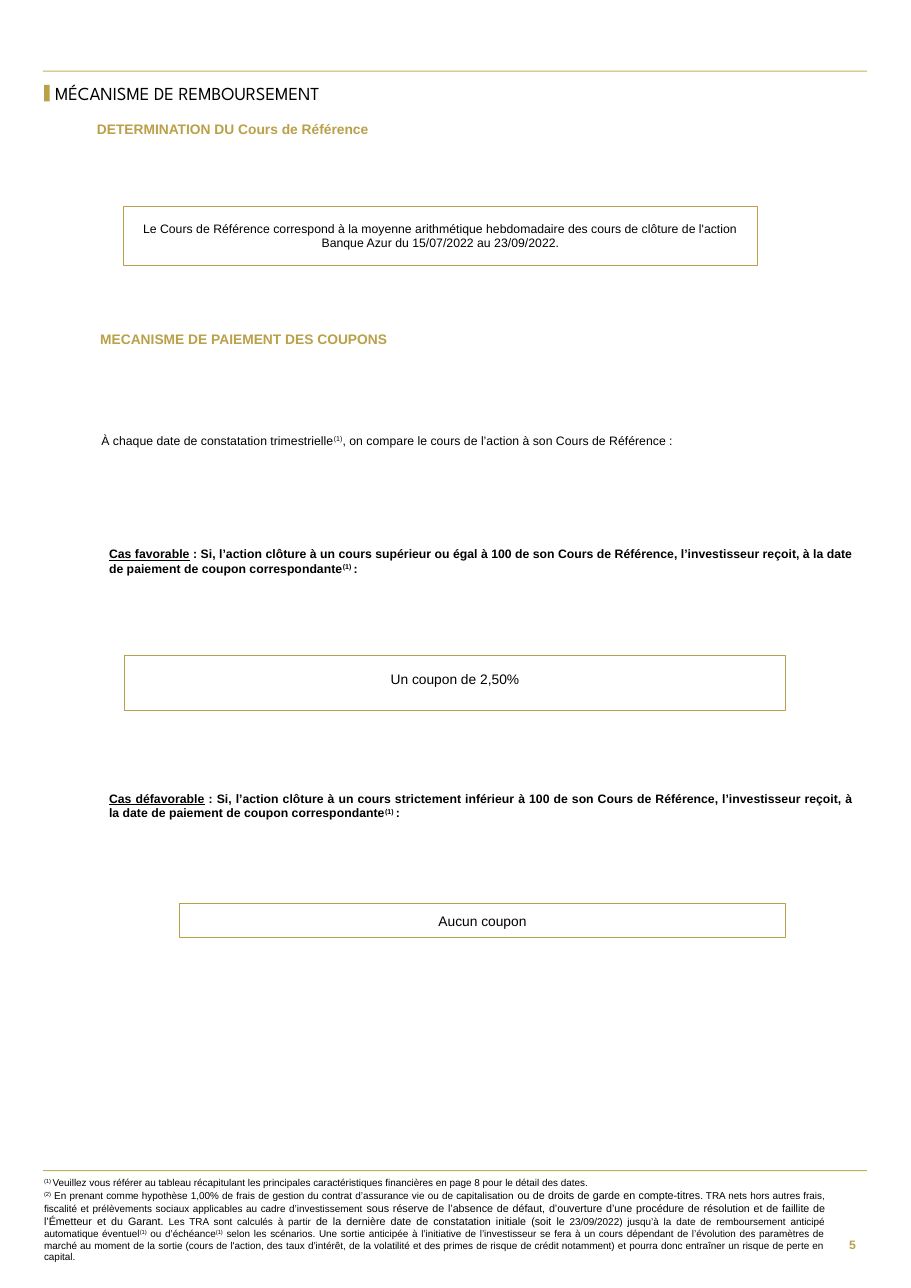
from dataclasses import dataclass

from pptx import Presentation
from pptx.dml.color import RGBColor
from pptx.enum.shapes import MSO_SHAPE
from pptx.enum.text import MSO_ANCHOR, MSO_AUTO_SIZE, PP_ALIGN
from pptx.util import Inches, Pt

RECTANGLE = MSO_SHAPE.RECTANGLE
TOP, MIDDLE = MSO_ANCHOR.TOP, MSO_ANCHOR.MIDDLE
LEFT, CENTER, RIGHT, JUSTIFY = PP_ALIGN.LEFT, PP_ALIGN.CENTER, PP_ALIGN.RIGHT, PP_ALIGN.JUSTIFY
FIXED = MSO_AUTO_SIZE.NONE


@dataclass(frozen=True)
class Theme:
    gold: RGBColor = RGBColor.from_string("B9A049")
    rule: RGBColor = RGBColor.from_string("C5AF5C")
    ink: RGBColor = RGBColor.from_string("000000")
    paper: RGBColor = RGBColor.from_string("FFFFFF")
    title_font: str = "League Spartan"
    body_font: str = "Arial"
    title: float = 12
    heading: float = 9
    body: float = 8
    note: float = 6.5
    note_large: float = 7


THEME = Theme()
SUPER, UNDERLINE, LARGE = "super", "underline", "large"

TITLE = "MÉCANISME DE REMBOURSEMENT"
PAGE_NUMBER = "5"
HEADINGS = [
    ("DETERMINATION DU Cours de Référence", (0.88, 1.1, 2.97, 0.18)),
    ("MECANISME DE PAIEMENT DES COUPONS", (0.91, 3, 6.57, 0.17)),
]
COMPARISON = [
    ("À chaque date de constatation trimestrielle", None),
    ("(1)", SUPER),
    (", on compare le cours de l’action à son Cours de Référence :", None),
]
CASES = [
    ("Cas favorable", "supérieur ou égal", 4.96),
    ("Cas défavorable", "strictement inférieur", 7.18),
]
BOXES = [
    ("Le Cours de Référence correspond à la moyenne arithmétique hebdomadaire des cours "
     "de clôture de l'action Banque Azur du 15/07/2022 au 23/09/2022.",
     (1.12, 1.87, 5.76, 0.54), THEME.body, 0.5, (0.12, 0.1, 0.12, 0.1)),
    ("Un coupon de 2,50%", (1.13, 5.95, 6, 0.5), THEME.heading, 0.75, (0.12, 0.08, 0.12, 0.15)),
    ("Aucun coupon", (1.63, 8.2, 5.5, 0.31), THEME.heading, 0.75, (0.12, 0.08, 0.12, 0.08)),
]
FOOTNOTES = [
    [
        ("(1) ", SUPER),
        ("Veuillez vous référer au tableau récapitulant les principales caractéristiques "
         "financières en page 8 pour le détail des dates.", None),
    ],
    [
        ("(2)", SUPER),
        (" En prenant comme hypothèse 1,00% de frais de gestion du contrat d’assurance vie "
         "ou de capitalisation ", None),
        ("ou de droits de garde en compte-titres", LARGE),
        (". TRA nets hors autres frais, fiscalité et prélèvements sociaux applicables au "
         "cadre d’investissement ", None),
        ("sous réserve de l’absence de défaut, d’ouverture d’une procédure de résolution et "
         "de faillite de l’Émetteur et du Garant. ", LARGE),
        ("Les TRA sont calculés à partir ", None),
        ("de la dernière date de constatation initiale (soit le", LARGE),
        (" 23/09/2022) jusqu’à la date de remboursement anticipé automatique éventuel", None),
        ("(1)", SUPER),
        (" ou d’échéance", None),
        ("(1)", SUPER),
        (" selon les scénarios. Une sortie anticipée à l’initiative de l’investisseur se fera "
         "à un cours dépendant de l’évolution des paramètres de marché au moment de la sortie "
         "(cours de l'action, des taux d’intérêt, de la volatilité et des primes de risque "
         "de crédit notamment) et pourra donc entraîner un risque de perte en capital.", None),
    ],
]


def case_text(name, threshold):
    return [
        (name, UNDERLINE),
        (f" : Si, l’action clôture à un cours {threshold} à 100 de son Cours de Référence, "
         "l’investisseur reçoit, à la date de paiement de coupon correspondante", None),
        ("(1) ", SUPER),
        (":", None),
    ]


def write(frame, paragraphs, size, align=JUSTIFY, color=THEME.ink, bold=False,
          font=THEME.body_font, anchor=TOP, insets=(0, 0, 0, 0)):
    frame.word_wrap = True
    frame.auto_size = FIXED
    frame.vertical_anchor = anchor
    frame.margin_left, frame.margin_top, frame.margin_right, frame.margin_bottom = map(Inches, insets)
    for index, pieces in enumerate(paragraphs):
        paragraph = frame.add_paragraph() if index else frame.paragraphs[0]
        paragraph.alignment = align
        paragraph.font.name = font
        paragraph.font.size = Pt(size)
        paragraph.font.bold = bold
        paragraph.font.color.rgb = color
        for words, style in pieces:
            run = paragraph.add_run()
            run.text = words
            if style == SUPER:
                run._r.get_or_add_rPr().set("baseline", "30000")
            elif style == UNDERLINE:
                run.font.underline = True
            elif style == LARGE:
                run.font.size = Pt(THEME.note_large)


def add_text(slide, place, paragraphs, size, **options):
    box = slide.shapes.add_textbox(*map(Inches, place))
    write(box.text_frame, paragraphs, size, **options)


def add_rectangle(slide, place, fill, line_width=0):
    rectangle = slide.shapes.add_shape(RECTANGLE, *map(Inches, place))
    rectangle.shadow.inherit = False
    rectangle.fill.solid()
    rectangle.fill.fore_color.rgb = fill
    if line_width:
        rectangle.line.color.rgb = THEME.gold
        rectangle.line.width = Pt(line_width)
    else:
        rectangle.line.fill.background()
    return rectangle


def main():
    deck = Presentation()
    deck.slide_width, deck.slide_height = Inches(8.27), Inches(11.69)
    slide = deck.slides.add_slide(deck.slide_layouts[5])

    for rule_top in (0.64, 10.62):
        add_rectangle(slide, (0.39, rule_top, 7.48, 0.01), THEME.rule)
    add_rectangle(slide, (0.4, 0.77, 0.05, 0.15), THEME.gold)

    title = slide.shapes.title
    title.left, title.top, title.width, title.height = map(Inches, (0.5, 0.73, 4.21, 0.25))
    write(title.text_frame, [[(TITLE, None)]], THEME.title, align=LEFT,
          font=THEME.title_font, anchor=MIDDLE)
    title.text_frame.paragraphs[0].line_spacing = 0.9

    for heading, place in HEADINGS:
        add_text(slide, place, [[(heading, None)]], THEME.heading,
                 align=LEFT, color=THEME.gold, bold=True)

    add_text(slide, (0.92, 3.93, 6.57, 0.13), [COMPARISON], THEME.body)
    for name, threshold, top in CASES:
        add_text(slide, (0.99, top, 6.76, 0.27), [case_text(name, threshold)],
                 THEME.body, bold=True)

    for statement, place, size, line_width, insets in BOXES:
        box = add_rectangle(slide, place, THEME.paper, line_width)
        write(box.text_frame, [[(statement, None)]], size, align=CENTER,
              anchor=MIDDLE, insets=insets)

    add_text(slide, (0.4, 10.68, 7.09, 0.68), FOOTNOTES, THEME.note)
    add_text(slide, (7.48, 11.09, 0.39, 0.42), [[(PAGE_NUMBER, None)]], THEME.body, align=RIGHT,
             color=THEME.gold, bold=True, anchor=MIDDLE, insets=(0.1, 0.05, 0.1, 0.05))

    deck.save("out.pptx")


if __name__ == "__main__":
    main()
